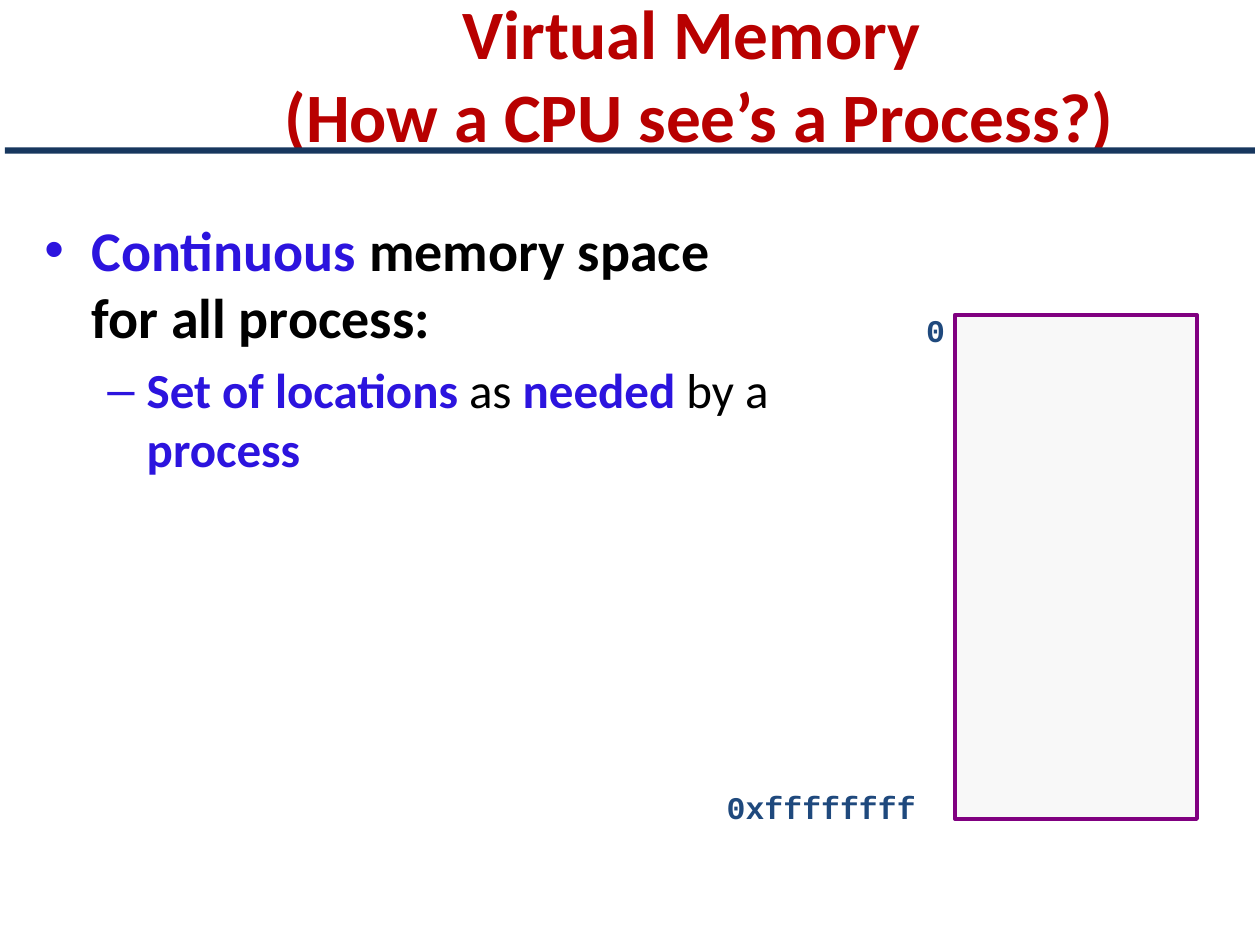
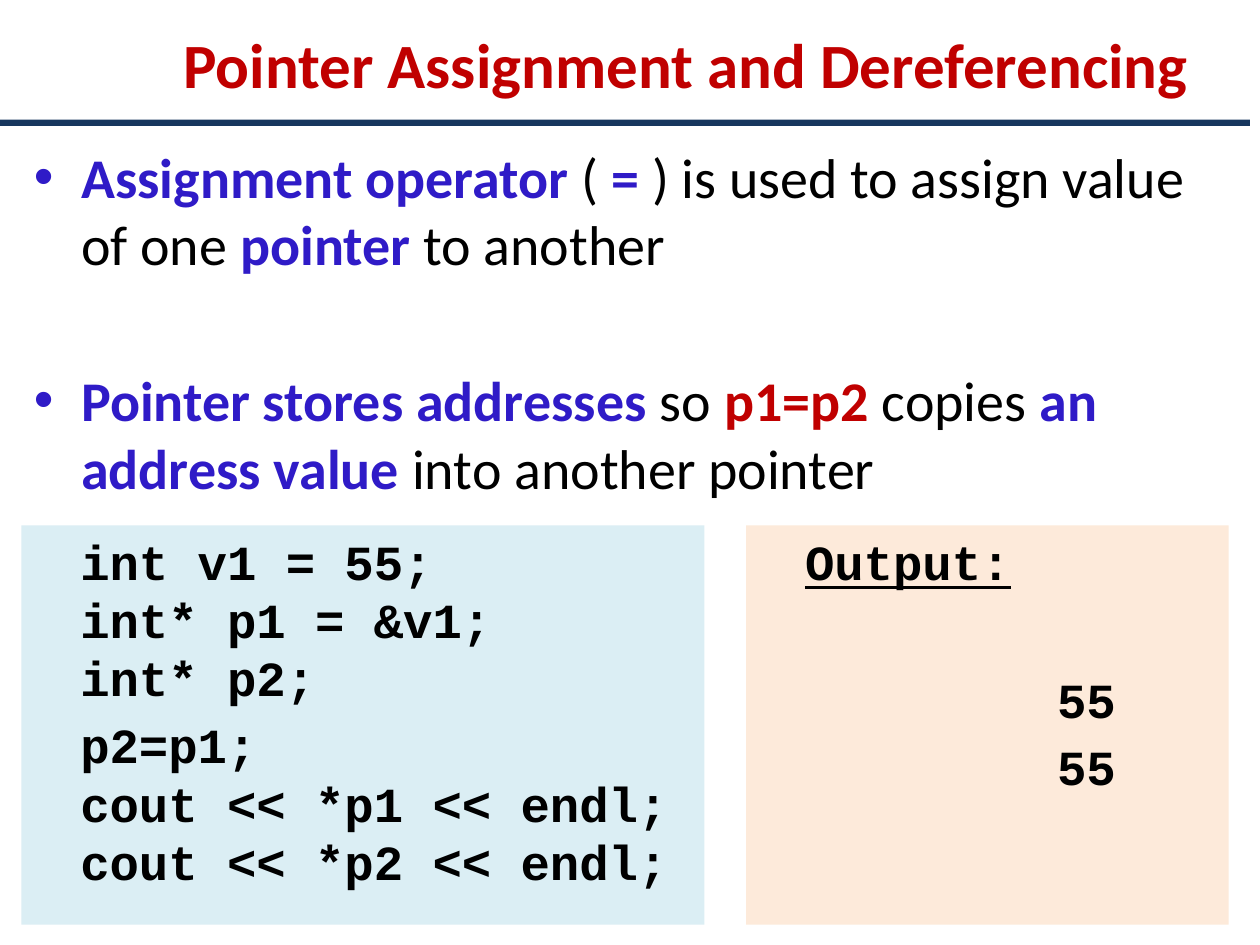
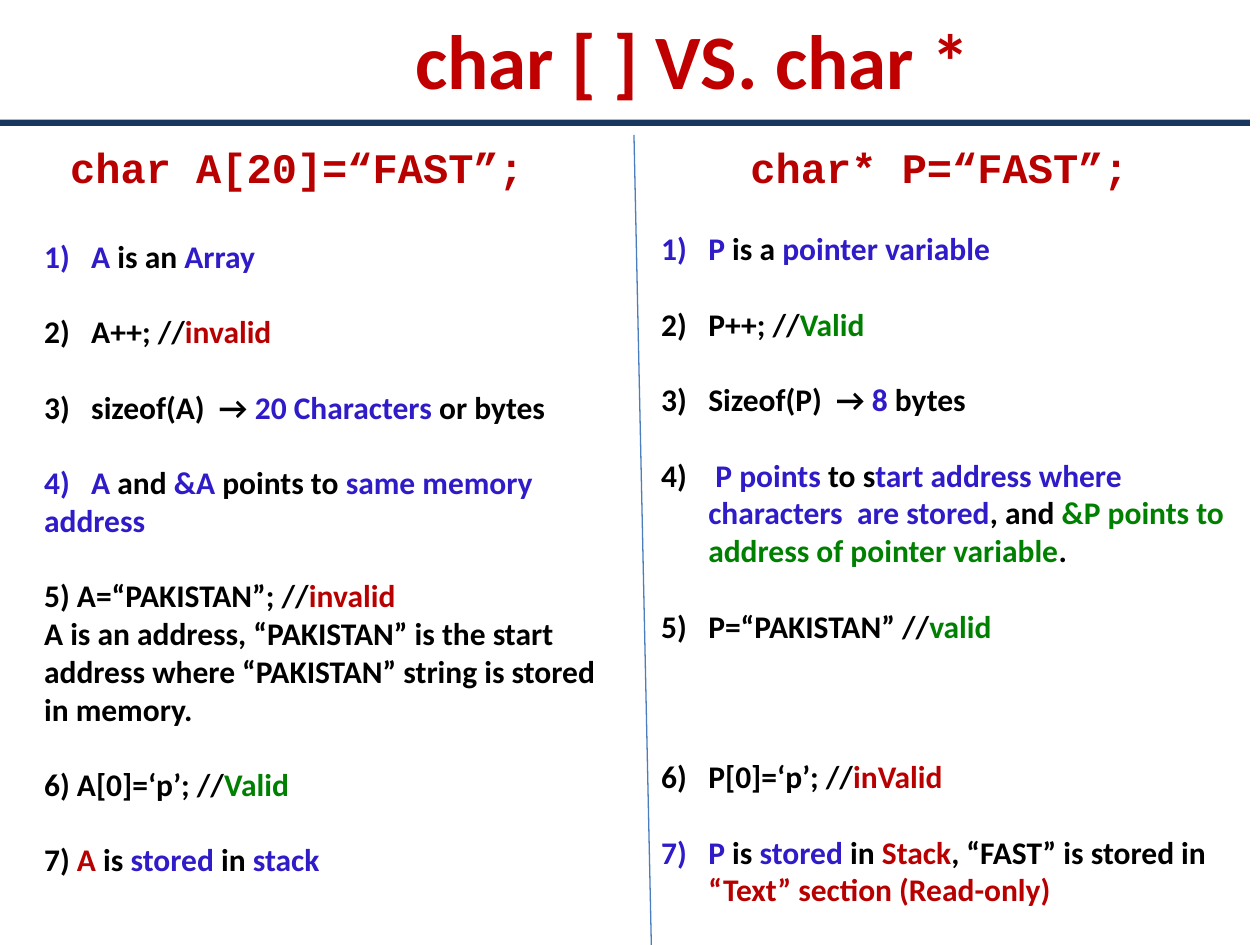
from dataclasses import dataclass
from typing import NamedTuple

from lxml import etree
from pptx import Presentation
from pptx.dml.color import RGBColor
from pptx.enum.shapes import MSO_CONNECTOR, MSO_SHAPE
from pptx.enum.text import MSO_ANCHOR, MSO_AUTO_SIZE, PP_ALIGN
from pptx.oxml.ns import qn
from pptx.util import Cm, Pt

RECT = MSO_SHAPE.RECTANGLE
STRAIGHT = MSO_CONNECTOR.STRAIGHT
TOP = MSO_ANCHOR.TOP
MIDDLE = MSO_ANCHOR.MIDDLE
NO_FIT = MSO_AUTO_SIZE.NONE
LEFT = PP_ALIGN.LEFT
CENTER = PP_ALIGN.CENTER

BLACK = RGBColor(0x00, 0x00, 0x00)
WHITE = RGBColor(0xFF, 0xFF, 0xFF)
RED = RGBColor(0xC0, 0x00, 0x00)
DARK_RED = RGBColor(0xB8, 0x00, 0x00)
BLUE = RGBColor(0x2F, 0x1B, 0xC7)
BRIGHT_BLUE = RGBColor(0x2C, 0x14, 0xDE)
GREEN = RGBColor(0x00, 0x80, 0x00)
NAVY = RGBColor(0x17, 0x37, 0x5E)
ADDRESS_BLUE = RGBColor(0x1F, 0x49, 0x7D)
DIVIDER_BLUE = RGBColor(0x4B, 0x7E, 0xBC)
PURPLE = RGBColor(0x80, 0x00, 0x80)
MEMORY_GREY = RGBColor(0xF8, 0xF8, 0xF8)
CODE_FILL = RGBColor(0xDB, 0xEE, 0xF4)
OUTPUT_FILL = RGBColor(0xFD, 0xEA, 0xDA)

SANS = "Calibri"
MONO = "Courier New"
LIST_GAP = 21.5  # one line of 18 pt text
CODE_GAP = 4.9
CODE_PITCH = 33.4


class Box(NamedTuple):
    """Left, top, width and height in centimetres."""
    left: float
    top: float
    width: float
    height: float


class Run(NamedTuple):
    text: str
    color: RGBColor = BLACK
    bold: bool = True
    underline: bool = False


@dataclass
class Para:
    runs: list[Run]
    level: int = 0
    before: float | None = None
    pitch: float | None = None
    indent: float | None = None
    hang: float = 0
    numbered: bool = False


# Text
def write(p, text: str, *, size: float, font: str = SANS, color: RGBColor = BLACK,
          bold: bool = True, underline: bool = False) -> None:
    for i, line in enumerate(text.split("\n")):
        if i:
            p.add_line_break()
        r = p.add_run()
        r.text = line
        r.font.size = Pt(size)
        r.font.name = font
        r.font.color.rgb = color
        r.font.bold = bold
        r.font.underline = underline


def format_paragraph(p, para: Para) -> None:
    p.alignment = LEFT
    p.level = para.level
    if para.before is not None:
        p.space_before = Pt(para.before)
    if para.pitch:
        p.line_spacing = Pt(para.pitch)
    if para.indent is not None:
        pPr = p._p.get_or_add_pPr()
        pPr.set("marL", str(Cm(para.indent)))
        pPr.set("indent", str(Cm(-para.hang)))
        if para.numbered:
            etree.SubElement(pPr, qn("a:buAutoNum"), type="arabicParenR")
        else:
            etree.SubElement(pPr, qn("a:buNone"))


def fill_text(sp, paras: list[Para], sizes: tuple[float, ...], font: str = SANS) -> None:
    tf = sp.text_frame
    tf.word_wrap = True
    tf.auto_size = NO_FIT
    tf.vertical_anchor = TOP
    for i, para in enumerate(paras):
        p = tf.add_paragraph() if i else tf.paragraphs[0]
        format_paragraph(p, para)
        for run in para.runs:
            write(p, run.text, size=sizes[para.level], font=font, color=run.color,
                  bold=run.bold, underline=run.underline)


# Shapes
def place(sp, box: Box) -> None:
    sp.left, sp.top, sp.width, sp.height = map(Cm, box)


def add_rect(s, box: Box, fill: RGBColor, line: RGBColor | None = None):
    sp = s.shapes.add_shape(RECT, *map(Cm, box))
    sp.shadow.inherit = False
    sp.fill.solid()
    sp.fill.fore_color.rgb = fill
    if line is None:
        sp.line.fill.background()
    else:
        sp.line.color.rgb = line
        sp.line.width = Pt(2.25)
    return sp


def add_text(s, box: Box, paras: list[Para], size: float, font: str = SANS):
    sp = s.shapes.add_textbox(*map(Cm, box))
    fill_text(sp, paras, (size,), font)
    return sp


def add_code(s, box: Box, fill: RGBColor, paras: list[Para]) -> None:
    fill_text(add_rect(s, box, fill), paras, (28,), MONO)


def add_divider(s, x1: float, y1: float, x2: float, y2: float) -> None:
    line = s.shapes.add_connector(STRAIGHT, Cm(x1), Cm(y1), Cm(x2), Cm(y2))
    line.line.color.rgb = DIVIDER_BLUE
    line.line.width = Pt(0.75)
    etree.SubElement(line._element.spPr, qn("a:effectLst"))


def start_slide(prs, title: str, title_box: Box, body_box: Box, *, size: float,
                color: RGBColor = RED, bar_left: float = 0, bar_top: float = 2.41):
    """Add a slide with its title, body position and navy bar."""
    s = prs.slides.add_slide(prs.slide_layouts[1])
    place(s.shapes.title, title_box)
    tf = s.shapes.title.text_frame
    tf.auto_size = NO_FIT
    tf.vertical_anchor = MIDDLE
    tf.paragraphs[0].alignment = CENTER
    write(tf.paragraphs[0], title, size=size, color=color)
    body = s.placeholders[1]
    place(body, body_box)
    add_rect(s, Box(bar_left, bar_top, 25.2, 0.13), NAVY)
    return s, body


# Paragraph kinds
def numbered(*runs: Run, before: float = LIST_GAP) -> Para:
    return Para(list(runs), before=before, indent=0.95, hang=0.95, numbered=True)


def plain(*runs: Run, before: float = LIST_GAP) -> Para:
    return Para(list(runs), before=before)


def code(text: str, before: float = CODE_GAP, indent: float = 0.94,
         underline: bool = False) -> Para:
    return Para([Run(text, underline=underline)], before=before, pitch=CODE_PITCH,
                indent=indent)


# Slides
def virtual_memory(prs) -> None:
    s, body = start_slide(
        prs, "Virtual Memory \n(How a CPU see’s a Process?)",
        Box(2.77, 0.2, 22.66, 2.54), Box(0.64, 4.22, 15.14, 11.43),
        size=39.6, color=DARK_RED, bar_left=0.1, bar_top=2.97)
    fill_text(body, [
        Para([Run("Continuous ", BRIGHT_BLUE), Run("memory space for all process:")]),
        Para([Run("Set of locations ", BRIGHT_BLUE), Run("as ", bold=False),
              Run("needed ", BRIGHT_BLUE), Run("by a ", bold=False),
              Run("process", BRIGHT_BLUE)], level=1),
    ], (32, 28))

    # Address space with its first and last address
    add_rect(s, Box(19.25, 6.35, 4.88, 10.16), MEMORY_GREY, PURPLE)
    for address, box in (("0xffffffff", Box(14.4, 15.77, 4.75, 1.09)),
                         ("0", Box(18.42, 6.15, 1.07, 1.09))):
        sp = add_text(s, box, [Para([Run(address, ADDRESS_BLUE)])], 18, MONO)
        sp.text_frame.word_wrap = address == "0"


def pointer_assignment(prs) -> None:
    s, body = start_slide(
        prs, "Pointer Assignment and Dereferencing ",
        Box(2.54, 0, 22.86, 2.54), Box(0.43, 2.74, 24.56, 15.88), size=36)
    fill_text(body, [
        Para([Run("Assignment operator ", BLUE), Run("( ", bold=False), Run("=", BLUE),
              Run(" ) is used to assign value of one ", bold=False),
              Run("pointer", BLUE), Run(" to another", bold=False)]),
        Para([Run("Pointer stores addresses ", BLUE), Run("so ", bold=False),
              Run("p1=p2", RED), Run(" copies ", bold=False),
              Run("an address value", BLUE),
              Run(" into another pointer", bold=False)], before=51),
    ], (32,))

    # Program and its output
    add_code(s, Box(0.43, 10.59, 13.77, 8.05), CODE_FILL, [
        code("int v1 = 55;\nint* p1 = &v1;\nint* p2;", before=0),
        code("p2=p1;\ncout << *p1 << endl;\ncout << *p2 << endl;"),
    ])
    add_code(s, Box(15.04, 10.59, 9.73, 8.05), OUTPUT_FILL, [
        code("Output:", before=0, underline=True),
        code("55", before=45.5, indent=6.02),
        code("55", indent=6.02),
    ])


def array_versus_pointer(prs) -> None:
    s, body = start_slide(
        prs, "char [ ] VS. char *",
        Box(2.54, -0.05, 22.86, 2.46), Box(0.13, 2.72, 25.27, 1.32), size=44)

    # Column headers and the divider between them
    body.fill.solid()
    body.fill.fore_color.rgb = WHITE
    fill_text(body, [Para([Run("char A[20]=“FAST”;", DARK_RED)], indent=1.03)],
              (24,), MONO)
    add_text(s, Box(14.88, 2.72, 9.5, 1.32),
             [Para([Run("char* P=“FAST”;", DARK_RED)])], 24, MONO)
    add_divider(s, 12.78, 2.72, 13.13, 19.05)

    # Array column
    add_text(s, Box(0.64, 4.65, 12.14, 13.34), [
        numbered(Run("A", BLUE), Run(" is an "), Run("Array", BLUE), before=0),
        numbered(Run("A++; //"), Run("invalid", DARK_RED)),
        numbered(Run("sizeof(A)  → "), Run("20 Characters ", BLUE), Run("or bytes")),
        numbered(Run("A", BLUE), Run(" and "), Run("&A ", BLUE), Run("points to "),
                 Run("same memory", BLUE)),
        plain(Run("address", BLUE), before=0),
        plain(Run("5) A=“PAKISTAN”; //"), Run("invalid", DARK_RED)),
        plain(Run("A is an address, “PAKISTAN” is the start address where "
                  "“PAKISTAN” string is stored in memory."), before=0),
        plain(Run("6) A[0]=‘p’; //"), Run("Valid", GREEN)),
        plain(Run("7) "), Run("A", DARK_RED), Run(" is "), Run("stored", BLUE),
              Run(" in "), Run("stack", BLUE)),
    ], 18)

    # Pointer column
    add_text(s, Box(13.08, 4.5, 12.12, 14.5), [
        numbered(Run("P", BLUE), Run(" is a "), Run("pointer variable", BLUE), before=0),
        numbered(Run("P++; //"), Run("Valid", GREEN)),
        numbered(Run("Sizeof(P)  → "), Run("8 ", BLUE), Run("bytes")),
        numbered(Run(" "), Run("P points", BLUE), Run(" to s"),
                 Run("tart address where characters  are stored", BLUE), Run(", and "),
                 Run("&P points to address of pointer variable", GREEN), Run(".")),
        numbered(Run("P=“PAKISTAN” //"), Run("valid", GREEN)),
        numbered(Run("P[0]=‘p’; //"), Run("inValid", DARK_RED), before=3 * LIST_GAP),
        numbered(Run("P", BLUE), Run(" is "), Run("stored", BLUE), Run(" in "),
                 Run("Stack", DARK_RED), Run(", “FAST” is stored in "),
                 Run("“Text” section (Read-only)", DARK_RED)),
    ], 18)


def main() -> None:
    prs = Presentation()
    prs.slide_width, prs.slide_height = Cm(25.4), Cm(19.05)
    virtual_memory(prs)
    pointer_assignment(prs)
    array_versus_pointer(prs)
    prs.save("out.pptx")


if __name__ == "__main__":
    main()
